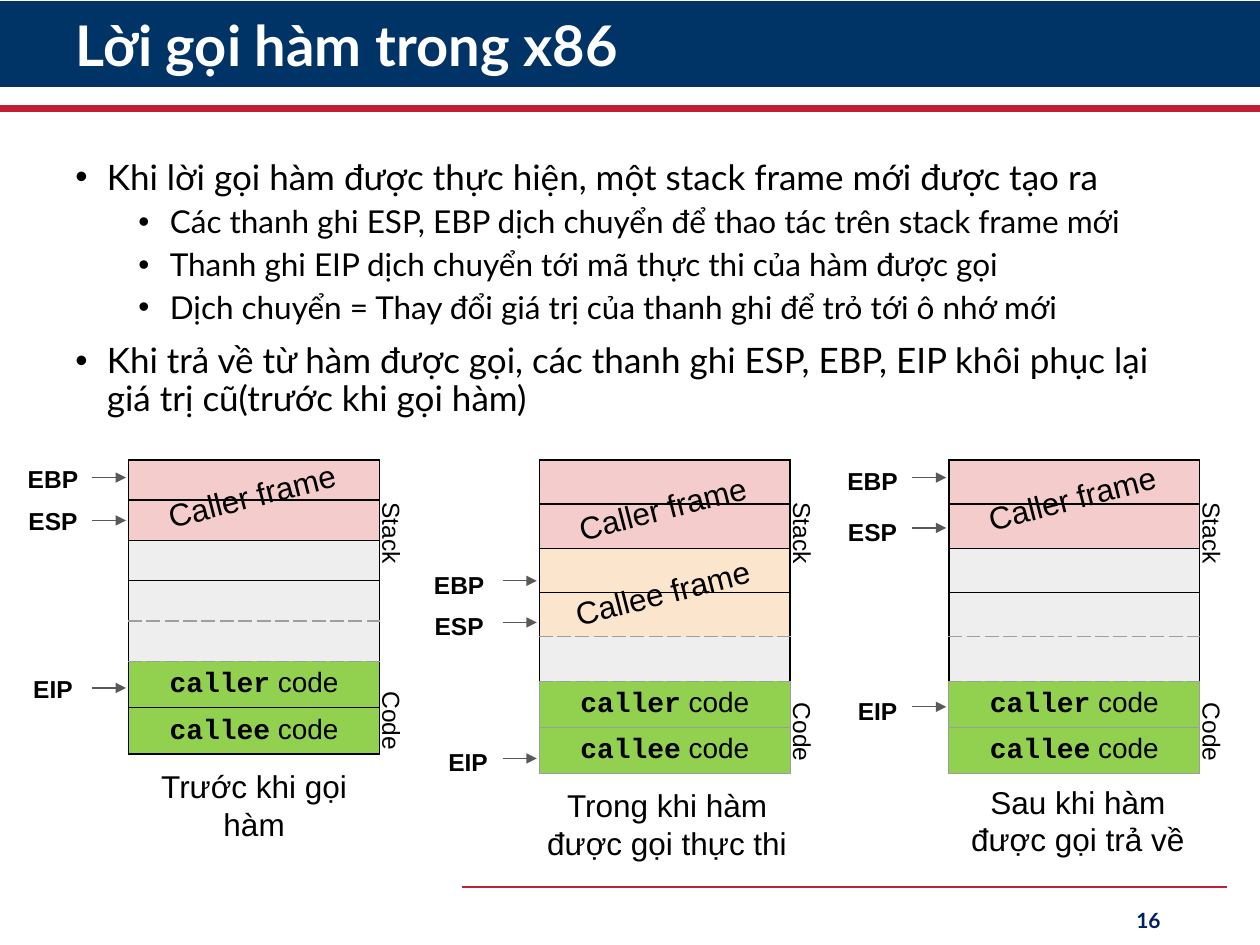
from lxml import etree
from pptx import Presentation
from pptx.dml.color import RGBColor
from pptx.enum.shapes import MSO_CONNECTOR, MSO_SHAPE
from pptx.enum.text import MSO_ANCHOR, PP_ALIGN
from pptx.oxml.ns import qn
from pptx.util import Pt

STRAIGHT = MSO_CONNECTOR.STRAIGHT
CENTER, RIGHT = PP_ALIGN.CENTER, PP_ALIGN.RIGHT
MIDDLE = MSO_ANCHOR.MIDDLE
COLORS = {
    "navy": "003366", "red": "C02034", "white": "FFFFFF", "black": "000000",
    "number": "002060", "caller": "F4CCCC", "callee": "FCE5CD",
    "free": "EEEEEE", "code": "92D050", "grid": "9E9E9E", "arrow": "595959",
}
RGB = {name: RGBColor.from_string(value) for name, value in COLORS.items()}

TABLE_TOP, TABLE_WIDTH = 262.8, 143.3
# Pointers are (register, label centre from the table's left edge, arrow height).
PANELS = [
    dict(left=73.5, stack_row=23.04, code_row=26.5, code_edge=("black", 1),
         fills=["caller"] * 2 + ["free"] * 3, label_drop=0.7,
         pointers=[("EBP", -43.2, 272.9), ("ESP", -43.2, 297.4), ("EIP", -43.2, 393.1)],
         frames=[("Caller frame", 283)], code_middle=411.8,
         caption="Trước khi gọi hàm", caption_box=(71.7, 431.3, 147.6)),
    dict(left=308.2, stack_row=25.3, code_row=26.1, code_edge=("grid", 0.75),
         fills=["caller"] * 2 + ["callee"] * 2 + ["free"], label_drop=2.3,
         pointers=[("EBP", -45.8, 331.9), ("ESP", -45.8, 355.7), ("EIP", -40.7, 433.4)],
         frames=[("Caller frame", 290.2), ("Callee frame", 338.4)], code_middle=418.3,
         caption="Trong khi hàm được gọi thực thi", caption_box=(73, 442, 166)),
    dict(left=542.2, stack_row=25.3, code_row=26.1, code_edge=("grid", 0.75),
         fills=["caller"] * 2 + ["free"] * 3, label_drop=2.3,
         pointers=[("EBP", -43.6, 272.9), ("ESP", -43.6, 301.7), ("EIP", -40.7, 403.9)],
         frames=[("Caller frame", 284.4)], code_middle=418.3,
         caption="Sau khi hàm được gọi trả về", caption_box=(73.7, 440, 147.6)),
]
BULLETS = [
    (0, "Khi lời gọi hàm được thực hiện, một stack frame mới được tạo ra"),
    (1, "Các thanh ghi ESP, EBP dịch chuyển để thao tác trên stack frame mới"),
    (1, "Thanh ghi EIP dịch chuyển tới mã thực thi của hàm được gọi"),
    (1, "Dịch chuyển = Thay đổi giá trị của thanh ghi để trỏ tới ô nhớ mới"),
    (0, "Khi trả về từ hàm được gọi, các thanh ghi ESP, EBP, EIP khôi phục lại "
        "giá trị cũ(trước khi gọi hàm)"),
]

prs = Presentation()
prs.slide_width, prs.slide_height = Pt(720), Pt(540)
slide = prs.slides.add_slide(prs.slide_layouts[6])
shapes = slide.shapes


def add_line(x1, y1, x2, y2, color, width, arrow=False):
    line = shapes.add_connector(STRAIGHT, Pt(x1), Pt(y1), Pt(x2), Pt(y2))
    line.line.color.rgb = RGB[color]
    line.line.width = Pt(width)
    if arrow:
        etree.SubElement(line.line._get_or_add_ln(), qn("a:tailEnd"), type="triangle")
    etree.SubElement(line._element.spPr, qn("a:effectLst"))


def add_label(text, center_x, center_y, width, height, size, bold=False, rotation=0):
    """Add centred Arial text around a centre point."""
    box = shapes.add_textbox(Pt(center_x - width / 2), Pt(center_y - height / 2),
                             Pt(width), Pt(height))
    box.rotation = rotation
    frame = box.text_frame
    frame.word_wrap = True
    frame.margin_left = frame.margin_right = Pt(7.2)
    frame.margin_top = frame.margin_bottom = Pt(7.2)
    paragraph = frame.paragraphs[0]
    paragraph.text = text
    paragraph.alignment = CENTER
    font = paragraph.font
    font.name, font.size, font.bold = "Arial", Pt(size), bold
    font.color.rgb = RGB["black"]


# Header, rules and slide number
banner = shapes.add_shape(MSO_SHAPE.RECTANGLE, 0, Pt(0.7), Pt(720), Pt(49))
banner.shadow.inherit = False
banner.fill.solid()
banner.fill.fore_color.rgb = RGB["navy"]
banner.line.fill.background()
add_line(0, 62, 720, 62, "red", 3.5)
add_line(264.2, 506.9, 701.3, 506.9, "red", 1.5)

for text, bounds, size, color, alignment in [
    ("Lời gọi hàm trong x86", (36, 5.8, 634.3, 43.9), 32, "white", None),
    ("16", (508.3, 511.2, 162, 28.8), 12, "number", RIGHT),
]:
    heading = shapes.add_textbox(*map(Pt, bounds)).text_frame
    heading.word_wrap = True
    heading.vertical_anchor = MIDDLE
    paragraph = heading.paragraphs[0]
    paragraph.text = text
    paragraph.alignment = alignment
    paragraph.line_spacing = 0.9 if size == 32 else 1.0
    font = paragraph.font
    font.name, font.size, font.bold = "Lato", Pt(size), True
    font.color.rgb = RGB[color]

# Bulleted explanation
body = shapes.add_textbox(Pt(36), Pt(87.8), Pt(648), Pt(160)).text_frame
body.word_wrap = True
for index, (level, text) in enumerate(BULLETS):
    paragraph = body.paragraphs[0] if index == 0 else body.add_paragraph()
    paragraph.text = text
    paragraph.level = level
    properties = paragraph._p.get_or_add_pPr()
    properties.set("marL", str(Pt(18 + 36 * level)))
    properties.set("indent", str(Pt(-18)))
    etree.SubElement(properties, qn("a:buFont"), typeface="Arial")
    etree.SubElement(properties, qn("a:buChar"), char="•")
    paragraph.line_spacing = 0.9
    if index:
        paragraph.space_before = Pt(5 if level else 10)
    font = paragraph.font
    font.name, font.size = "Lato", Pt(18 if level else 20)
    font.color.rgb = RGB["black"]

# Memory before, during and after the call
for panel in PANELS:
    left = panel["left"]
    heights = [panel["stack_row"]] * 5 + [panel["code_row"]] * 2
    memory = shapes.add_table(7, 1, Pt(left), Pt(TABLE_TOP),
                              Pt(TABLE_WIDTH), Pt(sum(heights))).table
    memory.first_row = memory.horz_banding = False
    for row, fill in enumerate(panel["fills"] + ["code"] * 2):
        memory.rows[row].height = Pt(heights[row])
        cell = memory.cell(row, 0)
        cell.margin_left = cell.margin_right = Pt(3.6)
        cell.margin_top = cell.margin_bottom = Pt(3.6)
        edge = panel["code_edge"] if row >= 5 else ("black", 1)
        for side in "LRTB":
            dashed = (side, row) in [("B", 3), ("T", 4), ("B", 4), ("T", 5)]
            color, width = ("grid", 0.75) if dashed else edge
            border = etree.SubElement(cell._tc.get_or_add_tcPr(), qn("a:ln" + side),
                                      w=str(Pt(width)))
            paint = etree.SubElement(border, qn("a:solidFill"))
            etree.SubElement(paint, qn("a:srgbClr"), val=COLORS[color])
            etree.SubElement(border, qn("a:prstDash"), val="dash" if dashed else "solid")
        cell.fill.solid()
        cell.fill.fore_color.rgb = RGB[fill]
        paragraph = cell.text_frame.paragraphs[0]
        if row < 5:
            paragraph.font.size = Pt(8)
            continue
        paragraph.alignment = CENTER
        function = "caller" if row == 5 else "callee"
        for text, typeface, bold in [(function, "Courier New", True),
                                     (" code", "Arial", False)]:
            run = paragraph.add_run()
            run.text = text
            run.font.name, run.font.size, run.font.bold = typeface, Pt(16), bold
            run.font.color.rgb = RGB["black"]

    for register, offset, y in panel["pointers"]:
        add_label(register, left + offset, y + panel["label_drop"], 53, 31.7, 14, bold=True)
        add_line(left - 21, y, left - 1.5, y, "arrow", 0.75, arrow=True)
    for text, y in panel["frames"]:
        add_label(text, left + 70.4, y, 144, 36, 18, rotation=345.6)
    for text, y in [("Stack", 304.6), ("Code", panel["code_middle"])]:
        add_label(text, left + 150.3, y, 63, 31.7, 14, rotation=90)
    offset, top, width = panel["caption_box"]
    add_label(panel["caption"], left + offset, top + 29, width, 58, 18)

prs.save("out.pptx")
